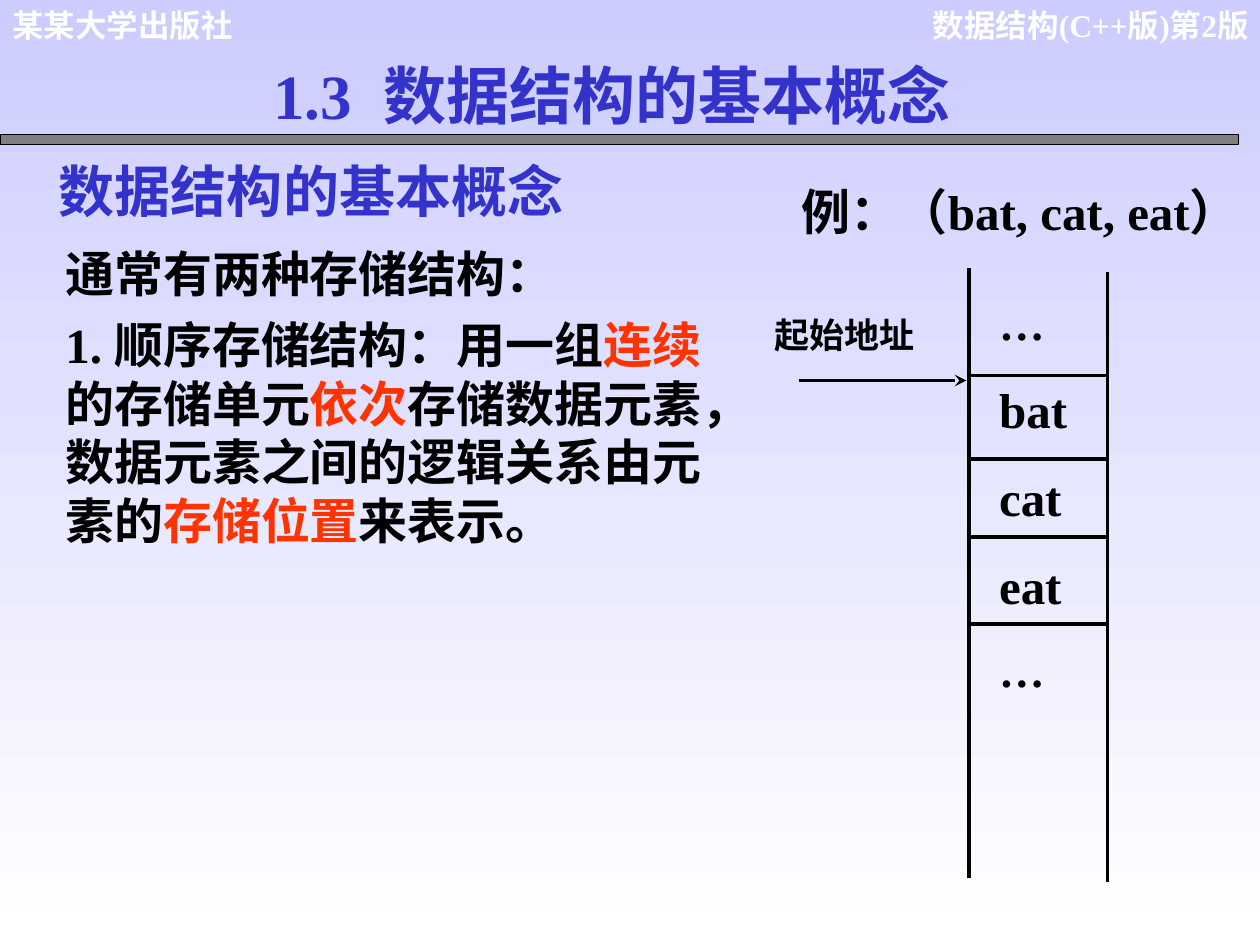
from lxml import etree
from pptx import Presentation
from pptx.dml.color import RGBColor
from pptx.enum.shapes import MSO_CONNECTOR, MSO_SHAPE
from pptx.enum.text import MSO_ANCHOR, MSO_AUTO_SIZE, PP_ALIGN
from pptx.oxml.ns import qn
from pptx.util import Inches, Pt

LINE = MSO_CONNECTOR.STRAIGHT
RECT = MSO_SHAPE.RECTANGLE
TOP = MSO_ANCHOR.TOP
FIXED = MSO_AUTO_SIZE.NONE
LEFT, RIGHT, JUST = PP_ALIGN.LEFT, PP_ALIGN.RIGHT, PP_ALIGN.JUSTIFY
SERIF, SANS = "Times New Roman", "Arial"
BLACK, WHITE, BLUE, RED = "000000", "FFFFFF", "3333CC", "FF3300"
RAIL_L, RAIL_R = 7.69, 8.79
ROWS = (2.98, 3.64, 4.26, 4.95)


def color(text):
    return RGBColor.from_string(text)


def paint(slide, start, end):
    fill = slide.background.fill
    fill.gradient()
    fill.gradient_angle = 270
    for stop, tone in zip(fill.gradient_stops, (start, end)):
        stop.color.rgb = color(tone)


def style(para, size, tone=BLACK, face=SERIF, align=LEFT, gap=0, lead=1.0):
    para.alignment = align
    para.space_before = Pt(gap)
    para.line_spacing = lead
    font = para.font
    font.name, font.size, font.bold = face, Pt(size), True
    font.color.rgb = color(tone)


def setup(shape, box, pad=(0.1, 0.05)):
    shape.left, shape.top, shape.width, shape.height = map(Inches, box)
    frame = shape.text_frame
    frame.word_wrap = True
    frame.auto_size = FIXED
    frame.vertical_anchor = TOP
    frame.margin_left = frame.margin_right = Inches(pad[0])
    frame.margin_top = frame.margin_bottom = Inches(pad[1])
    return frame


def label(slide, box, text, size, pad=(0.1, 0.05), **look):
    frame = setup(slide.shapes.add_textbox(0, 0, 0, 0), box, pad)
    frame.text = text
    style(frame.paragraphs[0], size, **look)


def title(slide, box, text, size, tone):
    frame = setup(slide.shapes.title, box)
    frame.text = text
    style(frame.paragraphs[0], size, tone)


def body(slide, box, paras):
    frame = setup(slide.shapes.add_textbox(0, 0, 0, 0), box)
    for i, parts in enumerate(paras):
        para = frame.add_paragraph() if i else frame.paragraphs[0]
        style(para, 28, gap=7)
        for text, tone in parts:
            run = para.add_run()
            run.text = text
            run.font.color.rgb = color(tone)


def cells(slide, box, words):
    frame = setup(slide.shapes.add_textbox(0, 0, 0, 0), box, (0, 0.05))
    for i, word in enumerate(words):
        para = frame.add_paragraph() if i else frame.paragraphs[0]
        para.text = word
        style(para, 26 if word == "…" else 28, align=JUST, lead=1.5)


def rule(slide, x1, y1, x2, y2, arrow=False):
    line = slide.shapes.add_connector(LINE, *map(Inches, (x1, y1, x2, y2)))
    line.line.color.rgb = color(BLACK)
    line.line.width = Pt(2.25)
    if arrow:
        tail = etree.SubElement(line.line._get_or_add_ln(), qn("a:tailEnd"))
        tail.set("type", "stealth")
    etree.SubElement(line._element.spPr, qn("a:effectLst"))


def bar(slide, box):
    shape = slide.shapes.add_shape(RECT, *map(Inches, box))
    shape.shadow.inherit = False
    shape.fill.solid()
    shape.fill.fore_color.rgb = color("808080")
    shape.line.color.rgb = color(BLACK)
    shape.line.width = Pt(0.75)


def memory(slide):
    rule(slide, RAIL_L, 2.13, RAIL_L, 6.97)
    rule(slide, RAIL_R, 2.16, RAIL_R, 7)
    cells(slide, (7.93, 2.08, 0.66, 3.83), ("…", "bat", "cat", "eat", "…"))
    for y in ROWS:
        rule(slide, RAIL_L, y, RAIL_R, y)
    label(slide, (6.13, 2.5, 1.43, 0.46), "起始地址", 20, (0.02, 0.01),
          align=JUST, lead=0.96)
    rule(slide, 6.34, 3.02, 7.67, 3.02, arrow=True)
    label(slide, (6.26, 1.39, 3.74, 1.04), "例：（bat, cat, eat）", 28)


def main():
    deck = Presentation()
    deck.slide_width, deck.slide_height = Inches(10), Inches(7.5)
    slide = deck.slides.add_slide(deck.slide_layouts[5])
    paint(slide, "CCCCFF", WHITE)
    label(slide, (7.22, 0, 2.69, 0.7), "数据结构(C++版)第2版", 18, (0, 0.05),
          tone=WHITE, align=RIGHT)
    label(slide, (0, 0, 2.71, 0.4), "某某大学出版社", 18, tone=WHITE, face=SANS)
    bar(slide, (0, 1.07, 9.83, 0.08))
    body(slide, (0.42, 1.88, 5.51, 4.58), (
        (("通常有两种存储结构：", BLACK),),
        (("1. 顺序存储结构：用一组", BLACK), ("连续", RED),
         ("的存储单元", BLACK), ("依次", RED),
         ("存储数据元素，数据元素之间的逻辑关系由元素的", BLACK),
         ("存储位置", RED), ("来表示。", BLACK)),
    ))
    memory(slide)
    title(slide, (2.07, 0.4, 5.76, 0.7), "1.3  数据结构的基本概念", 36, BLUE)
    label(slide, (0.37, 1.19, 5.76, 0.64), "数据结构的基本概念", 32, tone=BLUE)
    deck.save("out.pptx")


if __name__ == "__main__":
    main()
